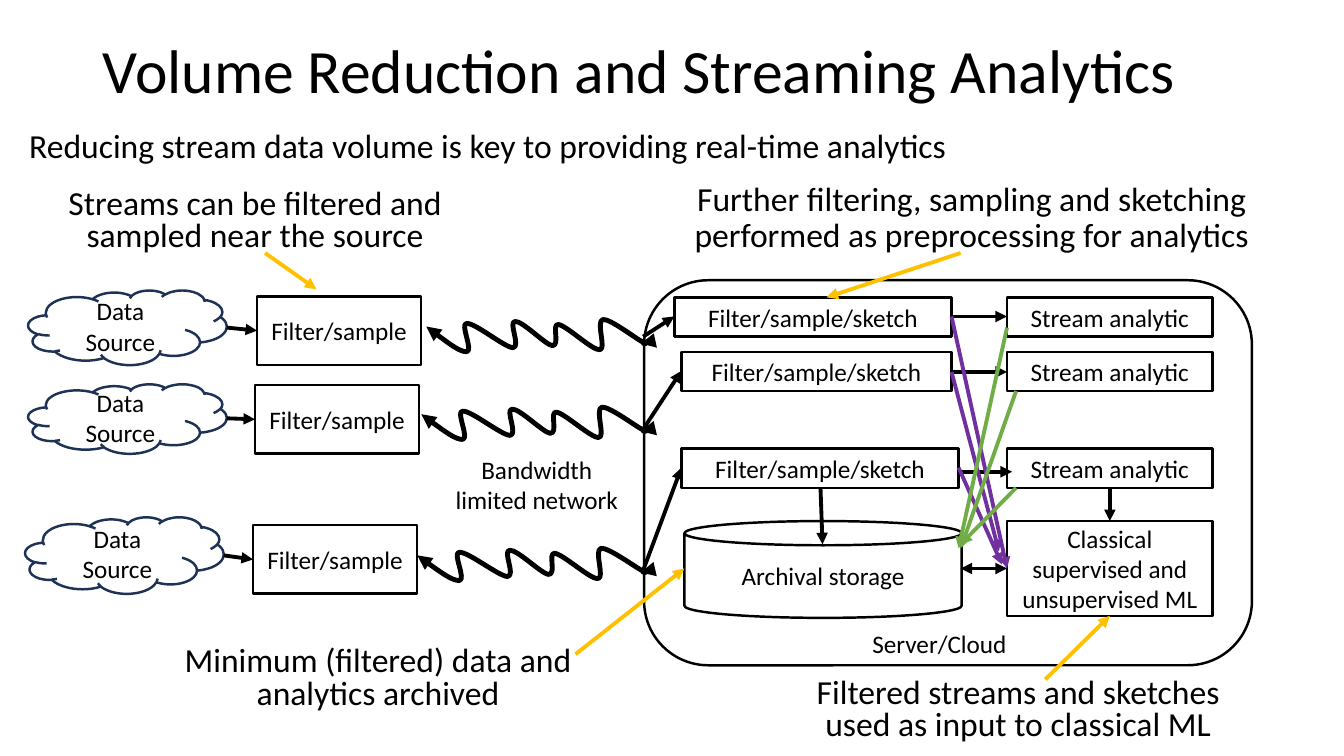
from lxml.etree import SubElement
from pptx import Presentation
from pptx.dml.color import RGBColor
from pptx.enum.shapes import MSO_CONNECTOR, MSO_SHAPE
from pptx.enum.text import MSO_ANCHOR, MSO_AUTO_SIZE, PP_ALIGN
from pptx.oxml.ns import qn
from pptx.util import Inches, Pt

BLACK, NAVY, GOLD = "000000", "1E3256", "FFC000"
VIOLET, GREEN = "7030A0", "70AD47"
RIGHT = 64
WAVE = [
    (0, 0.7), (1.7, 2), (3.3, 3.2), (4, 3.2), (4.7, 3.1), (3.3, 0.4), (4, 0.4),
    (4.8, 0.3), (7.8, 2.8), (8.6, 2.8), (9.4, 2.7), (8.1, 0.2), (8.8, 0.2),
    (9.5, 0.1), (11.8, 2.5), (12.5, 2.6), (13.3, 2.6), (12.4, 0.4), (13.1, 0.5),
    (13.9, 0.6), (16.5, 3.1), (17.2, 3), (17.9, 3), (16.8, 0.2), (17.5, 0),
    (18.2, -0.1), (20.8, 1.9), (21.4, 2.2), (22, 2.6), (21.2, 2.2), (21.2, 2.2),
    (21.2, 2.2), (21.4, 1.1), (21.3, 2.4),
]


def grid(*cells):
    return [Inches(cell / 10) for cell in cells]


def paint(target, code):
    target.rgb = RGBColor.from_string(code)


def write(shape, text, size=18, align=PP_ALIGN.CENTER, anchor=MSO_ANCHOR.MIDDLE, space=1.0):
    frame = shape.text_frame
    frame.word_wrap = True
    frame.auto_size = MSO_AUTO_SIZE.NONE
    frame.vertical_anchor = anchor
    frame.text = text
    para = frame.paragraphs[0]
    para.alignment = align
    para.line_spacing = space
    para.space_before = Pt(0)
    para.font.size = Pt(size)
    para.font.name = "Calibri"
    paint(para.font.color, BLACK)
    return para


def place(holder, cells, text, size, anchor):
    holder.left, holder.top, holder.width, holder.height = grid(*cells)
    return write(holder, text, size, PP_ALIGN.LEFT, anchor, 0.9)


def label(slide, cells, text, size=18, anchor=MSO_ANCHOR.MIDDLE, space=1.0):
    write(slide.shapes.add_textbox(*grid(*cells)), text, size, anchor=anchor, space=space)


def node(slide, cells, text="", kind=MSO_SHAPE.RECTANGLE, code=BLACK):
    shape = slide.shapes.add_shape(kind, *grid(*cells))
    shape.shadow.inherit = False
    shape.fill.background()
    paint(shape.line.color, code)
    shape.line.width = Pt(1.75)
    if text:
        write(shape, text)


def tip(line, code, width, both):
    paint(line.color, code)
    line.width = Pt(width)
    edge = line._get_or_add_ln()
    for tag in ["a:headEnd", "a:tailEnd"] if both else ["a:tailEnd"]:
        SubElement(edge, qn(tag)).set("type", "triangle")


def arrow(slide, ends, code=BLACK, both=False):
    link = slide.shapes.add_connector(MSO_CONNECTOR.STRAIGHT, *grid(*ends))
    tip(link.line, code, 2.75, both)
    SubElement(link._element.spPr, qn("a:effectLst"))


def wave(slide, left, top):
    scale = (RIGHT - left) / 21.7
    points = [grid(left + x * scale, top + y) for x, y in WAVE]
    pen = slide.shapes.build_freeform(*points[0])
    pen.add_line_segments(points[1:], close=False)
    shape = pen.convert_to_shape()
    shape.shadow.inherit = False
    shape.fill.background()
    track = shape._element.find(".//" + qn("a:path"))
    steps = track.findall(qn("a:lnTo"))
    for i in range(0, len(steps), 3):
        curve = SubElement(track, qn("a:cubicBezTo"))
        for step in steps[i:i + 3]:
            curve.append(step[0])
            track.remove(step)
    tip(shape.line, BLACK, 3.5, True)


def main():
    deck = Presentation()
    deck.slide_width, deck.slide_height = grid(133.33, 75)
    slide = deck.slides.add_slide(deck.slide_layouts[1])

    place(slide.shapes.title, (9.2, 0, 115, 14.5),
          "Volume Reduction and Streaming Analytics", 44, MSO_ANCHOR.MIDDLE)
    lead = place(slide.placeholders[1], (1.9, 12.3, 129.4, 5.2),
                 "Reducing stream data volume is key to providing real-time analytics",
                 24, MSO_ANCHOR.TOP)
    props = lead._p.get_or_add_pPr()
    props.set("marL", "0")
    props.set("indent", "0")
    rule = SubElement(props, qn("a:buNone"))
    props.find(qn("a:spcBef")).addnext(rule)

    node(slide, (63.9, 27.8, 60.3, 38.2), kind=MSO_SHAPE.ROUNDED_RECTANGLE)

    for cloud, box, start, feed in [
        ((2.8, 28.8, 19.7, 7.4), (25.5, 29.4), (42.3, 31.7), (22.5, 32.5, 25.5, 32.8)),
        ((2.8, 38.1, 19.7, 6.9), (25.3, 38.2), (41.8, 40.4), (22.5, 41.5, 25.3, 41.6)),
        ((2.5, 51.3, 19.7, 7.6), (25.1, 52.1), (41.4, 54.4), (22.2, 55.1, 25.1, 55.5)),
    ]:
        node(slide, cloud, "Data Source", MSO_SHAPE.CLOUD, NAVY)
        node(slide, (*box, 16.3, 6.8), "Filter/sample")
        wave(slide, *start)
        arrow(slide, feed)

    for left, top, width, entry, link in [
        (66.9, 29.5, 27.5, 33.4, (94.4, 31.4, 99.9, 31.4)),
        (67.6, 34.9, 26.8, 42.6, (94.4, 36.9, 99.9, 36.9)),
        (67.6, 44.5, 27.5, 56.6, (94.9, 46.8, 100.4, 46.8)),
    ]:
        node(slide, (left, top, width, 3.9), "Filter/sample/sketch")
        node(slide, (99.9, top, 20.4, 3.9), "Stream analytic")
        arrow(slide, (63.8, entry, left, top + 1.9))
        arrow(slide, link)

    node(slide, (99.9, 51.7, 20.4, 9.4), "Classical supervised and unsupervised ML")
    node(slide, (67.9, 51.7, 27.5, 9.6), "Archival storage", MSO_SHAPE.CAN)
    arrow(slide, (81.4, 48.4, 81.6, 54))
    arrow(slide, (110.1, 48.4, 110.1, 51.7))
    arrow(slide, (95.3, 56.4, 99.9, 56.4), both=True)

    for code, paths in [
        (VIOLET, [(95.1, 46.4, 99.4, 56), (94.4, 36.9, 99.1, 54.7), (94.4, 31.4, 99.9, 56.4)]),
        (GOLD, [(26.3, 25.1, 31.4, 28.7), (57.1, 64.9, 67.9, 56.4),
                (103.7, 67.4, 110.1, 61.1), (95.3, 25.1, 82, 29.5)]),
        (GREEN, [(99.9, 32.5, 95.1, 54.4), (100.8, 38.8, 95.3, 54.4), (100.8, 48.4, 95.3, 54)]),
    ]:
        for ends in paths:
            arrow(slide, ends, code)

    label(slide, (43, 44.4, 20.5, 7.3), "Bandwidth limited network")
    label(slide, (82, 61.9, 22.4, 3.9), "Server/Cloud")
    for cells, text, space in [
        ((62.2, 17.6, 68.4, 8.8),
         "Further filtering, sampling and sketching performed as preprocessing for analytics", 0.9),
        ((4.7, 18.3, 41.2, 7.9), "Streams can be filtered and sampled near the source", 0.8),
        ((16.9, 63.7, 41.2, 7.9), "Minimum (filtered) data and analytics archived", 0.8),
        ((77.1, 66.8, 47.8, 7.9), "Filtered streams and sketches used as input to classical ML", 0.8),
    ]:
        label(slide, cells, text, 24, MSO_ANCHOR.TOP, space)

    deck.save("out.pptx")


if __name__ == "__main__":
    main()
